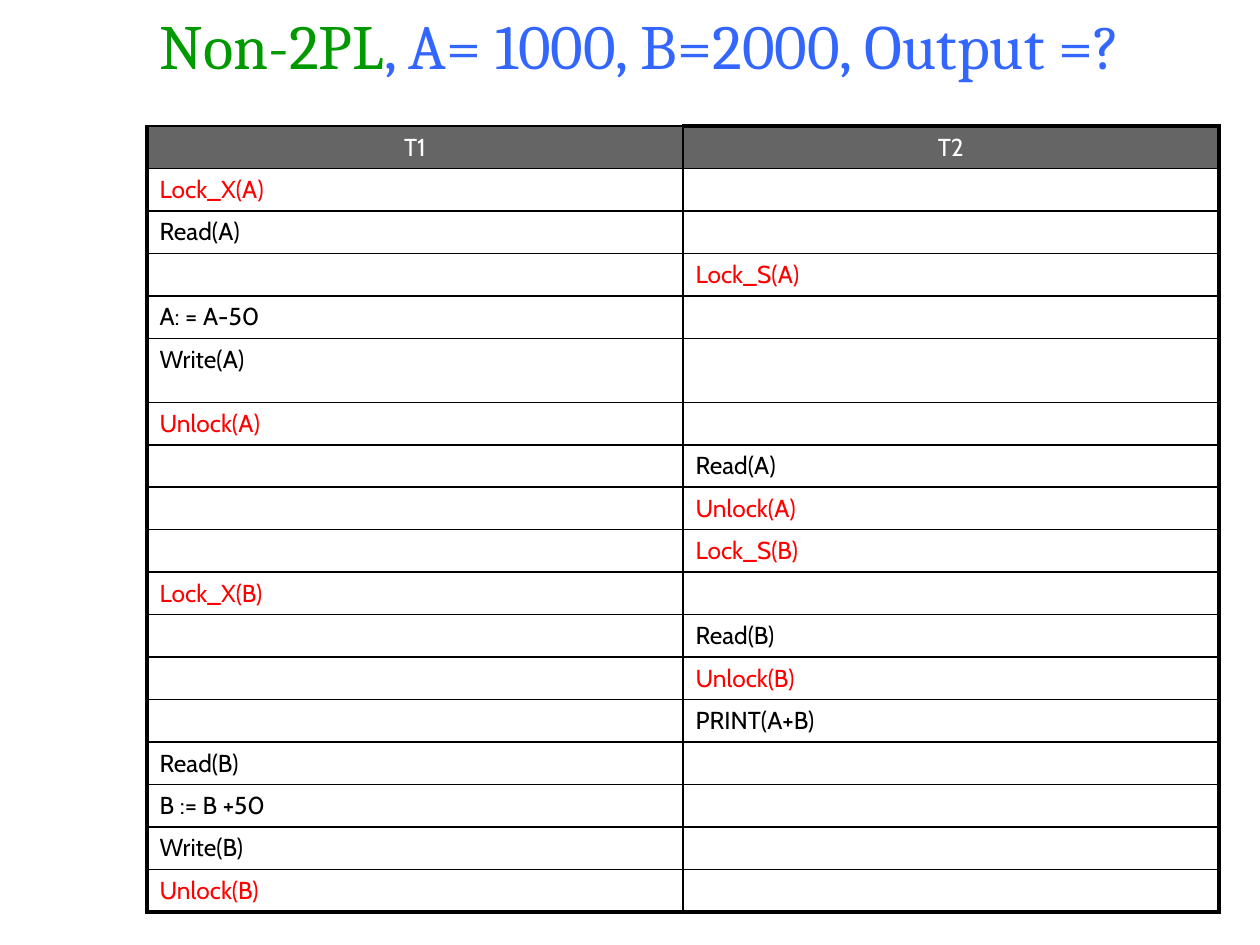
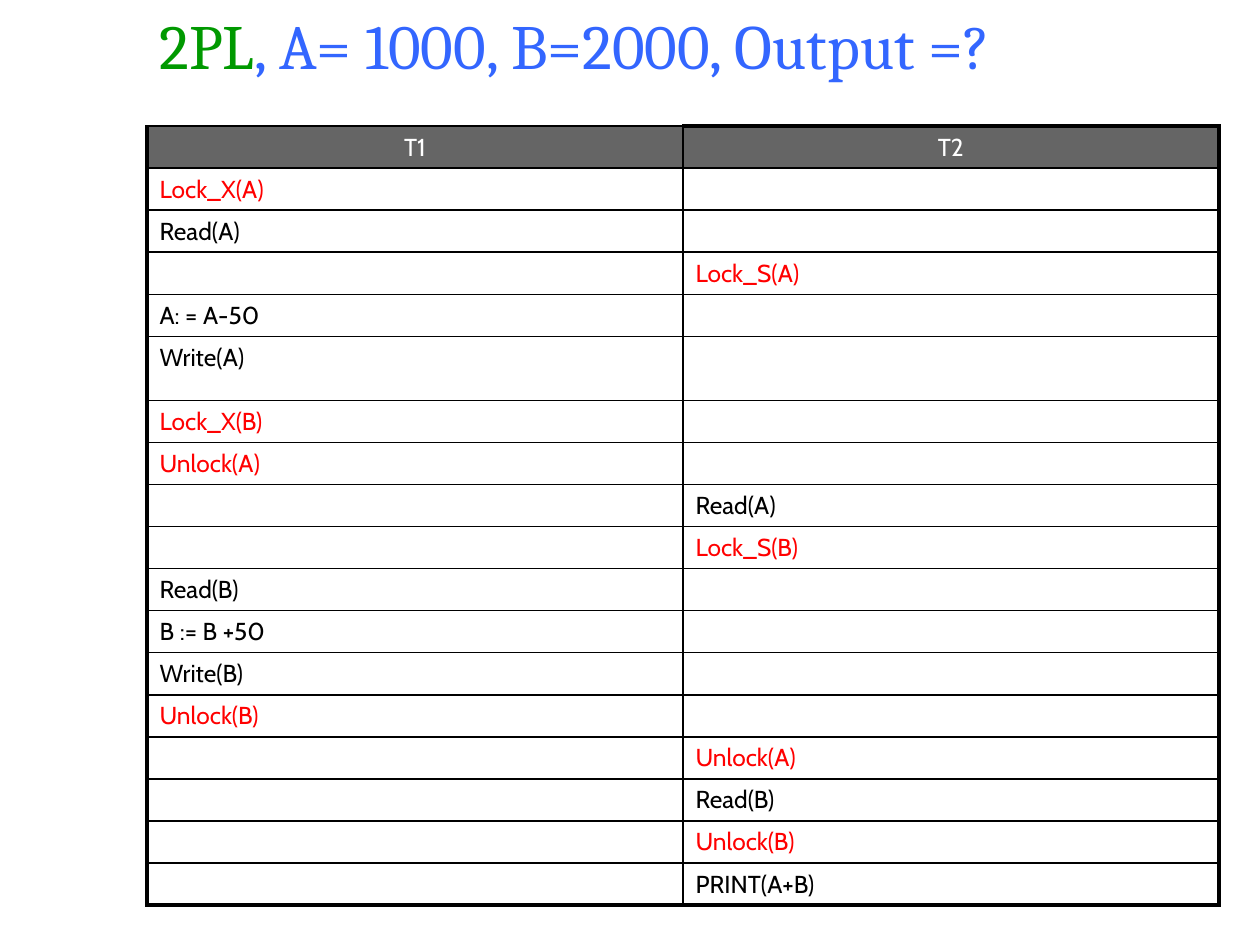
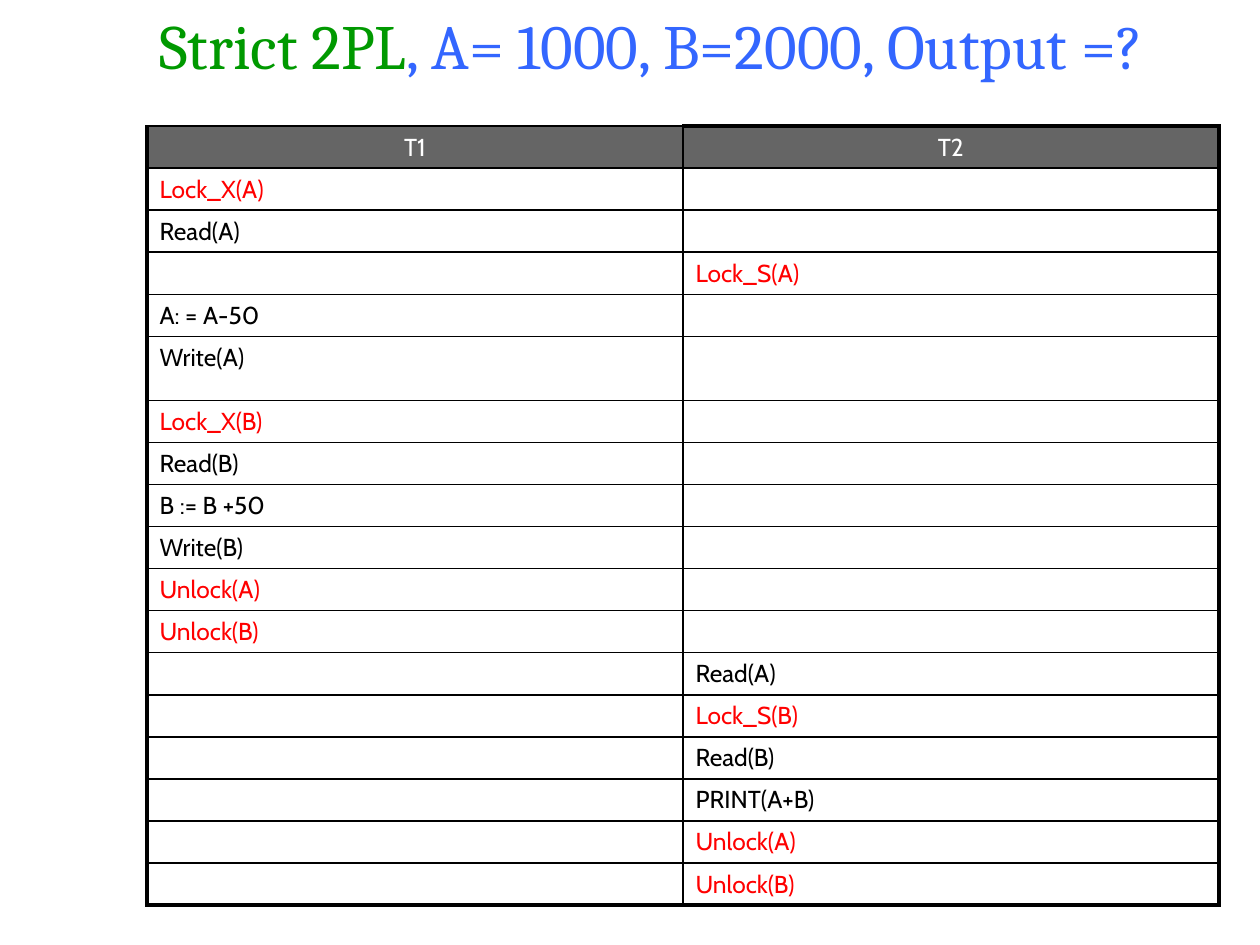
import pptx
import pptx.dml.color
import pptx.enum.text
import pptx.oxml
import pptx.oxml.ns
import pptx.util

PX = 914400 // 126
INK, WHITE, RED = "000000", "FFFFFF", "FF0000"
HEADER_FILL, GREEN, BLUE = "656565", "009900", "3366FF"
THIN, THICK = 1, 2.25
LEFT, TABLE_TOP, COLUMN_WIDTH = 147, 126, 536
ROW_HEIGHT, TALL_ROW_HEIGHT, TALL_ROW = 42, 64, 5

TRANSACTIONS = ["T1", "T2"]
QUESTION = ", A= 1000, B=2000, Output =?"
# Every schedule opens with the same steps; each step is (transaction, action).
OPENING = [("T1", "Lock_X(A)"), ("T1", "Read(A)"), ("T2", "Lock_S(A)"),
           ("T1", "A: = A-50"), ("T1", "Write(A)")]
SCHEDULES = [
    ("Non-2PL", 1090, [
        ("T1", "Unlock(A)"), ("T2", "Read(A)"), ("T2", "Unlock(A)"),
        ("T2", "Lock_S(B)"), ("T1", "Lock_X(B)"), ("T2", "Read(B)"),
        ("T2", "Unlock(B)"), ("T2", "PRINT(A+B)"), ("T1", "Read(B)"),
        ("T1", "B := B +50"), ("T1", "Write(B)"), ("T1", "Unlock(B)")]),
    ("2PL", 946, [
        ("T1", "Lock_X(B)"), ("T1", "Unlock(A)"), ("T2", "Read(A)"),
        ("T2", "Lock_S(B)"), ("T1", "Read(B)"), ("T1", "B := B +50"),
        ("T1", "Write(B)"), ("T1", "Unlock(B)"), ("T2", "Unlock(A)"),
        ("T2", "Read(B)"), ("T2", "Unlock(B)"), ("T2", "PRINT(A+B)")]),
    ("Strict 2PL", 1106, [
        ("T1", "Lock_X(B)"), ("T1", "Read(B)"), ("T1", "B := B +50"),
        ("T1", "Write(B)"), ("T1", "Unlock(A)"), ("T1", "Unlock(B)"),
        ("T2", "Read(A)"), ("T2", "Lock_S(B)"), ("T2", "Read(B)"),
        ("T2", "PRINT(A+B)"), ("T2", "Unlock(A)"), ("T2", "Unlock(B)")]),
]


def add_span(para, text, font, size, color):
    span = para.add_run()
    span.text = text
    values = {"name": font, "size": pptx.util.Pt(size), "bold": False}
    for name, value in values.items():
        setattr(span.font, name, value)
    span.font.color.rgb = pptx.dml.color.RGBColor.from_string(color)


def set_borders(cell, widths):
    """Draw the cell's sides; widths maps L, R, T, B (in that order) to points."""
    for side, width in widths.items():
        cell._tc.get_or_add_tcPr().append(pptx.oxml.parse_xml(
            f'<a:ln{side} {pptx.oxml.ns.nsdecls("a")} w="{pptx.util.Pt(width)}">'
            f'<a:solidFill><a:srgbClr val="{INK}"/></a:solidFill></a:ln{side}>'))


deck = pptx.Presentation()
deck.slide_width = pptx.util.Inches(10)
deck.slide_height = pptx.util.Inches(7.5)

for protocol, title_width, closing in SCHEDULES:
    page = deck.slides.add_slide(deck.slide_layouts[6])
    steps = OPENING + closing
    rows = [TRANSACTIONS] + [
        [action if owner == transaction else "" for transaction in TRANSACTIONS]
        for owner, action in steps]
    heights = [TALL_ROW_HEIGHT if index == TALL_ROW else ROW_HEIGHT
               for index in range(len(rows))]

    table = page.shapes.add_table(
        len(rows), len(TRANSACTIONS), LEFT * PX, TABLE_TOP * PX,
        len(TRANSACTIONS) * COLUMN_WIDTH * PX, sum(heights) * PX).table
    table.first_row = table.horz_banding = False
    for column in table.columns:
        column.width = COLUMN_WIDTH * PX

    for row_index, row in enumerate(rows):
        table.rows[row_index].height = heights[row_index] * PX
        is_header = row_index == 0
        is_last = row_index == len(rows) - 1
        for column_index, text in enumerate(row):
            cell = table.cell(row_index, column_index)
            is_right = column_index == 1
            set_borders(cell, {
                "L": THIN if is_right else THICK,
                "R": THICK if is_right else THIN,
                "T": THICK if is_header and is_right else THIN,
                "B": THICK if is_last else THIN})
            para = cell.text_frame.paragraphs[0]
            if is_header:
                cell.fill.solid()
                cell.fill.fore_color.rgb = pptx.dml.color.RGBColor.from_string(HEADER_FILL)
                para.alignment = pptx.enum.text.PP_ALIGN.CENTER
                color = WHITE
            else:
                cell.fill.background()
                color = RED if "lock" in text.lower() else INK
            if text:
                add_span(para, text, "Cabin", 14, color)
            else:
                para._p.append(pptx.oxml.parse_xml(
                    f'<a:endParaRPr {pptx.oxml.ns.nsdecls("a")} sz="1400">'
                    '<a:latin typeface="Cabin"/></a:endParaRPr>'))

    title = page.shapes.add_textbox(LEFT * PX, 0, title_width * PX, 88 * PX)
    title.text_frame.word_wrap = False
    title.text_frame.auto_size = pptx.enum.text.MSO_AUTO_SIZE.SHAPE_TO_FIT_TEXT
    para = title.text_frame.paragraphs[0]
    add_span(para, protocol, "Cambria", 36, GREEN)
    add_span(para, QUESTION, "Cambria", 36, BLUE)

deck.save("out.pptx")
